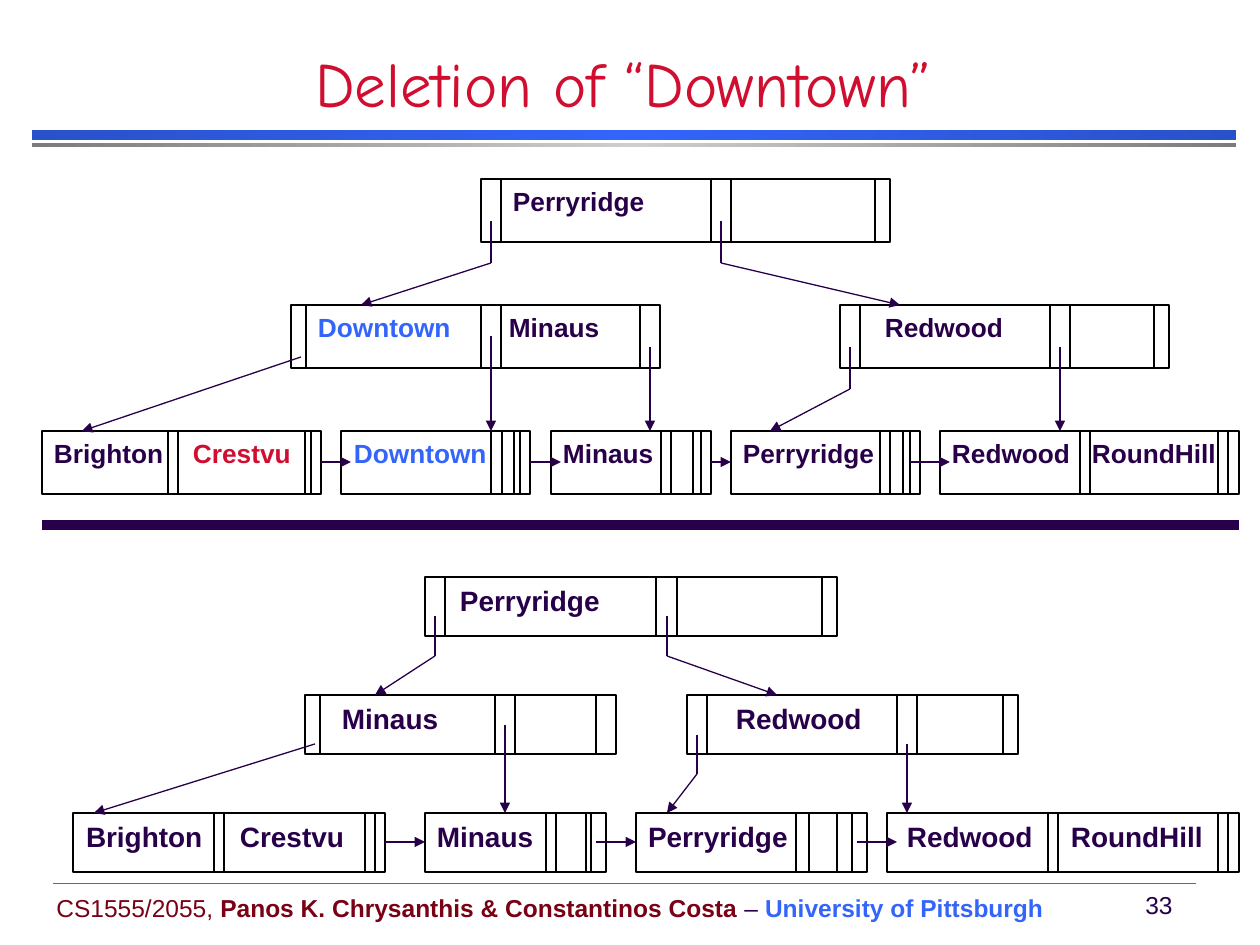
from copy import deepcopy

from lxml.etree import SubElement
from pptx import Presentation
from pptx.dml.color import RGBColor
from pptx.enum.shapes import MSO_CONNECTOR, MSO_SHAPE
from pptx.enum.text import MSO_ANCHOR, MSO_AUTO_SIZE, PP_ALIGN
from pptx.oxml.ns import qn
from pptx.util import Inches, Pt

PX = 7257  # EMU in one pixel, 126 pixels to the inch
INK, RED, BLUE, MAROON, BLACK = "280049", "CF0E30", "3365FB", "790015", "000000"
color = RGBColor.from_string

deck = Presentation()
deck.slide_width, deck.slide_height = Inches(10), Inches(7.5)
page = deck.slides.add_slide(deck.slide_layouts[5])


def draw_line(start, end, line_color, weight=0.75, arrow=False):
    ends = [value * PX for value in (*start, *end)]
    line = page.shapes.add_connector(MSO_CONNECTOR.STRAIGHT, *ends)
    line.line.color.rgb = color(line_color)
    line.line.width = Pt(weight)
    if arrow:
        SubElement(line.line._get_or_add_ln(), qn("a:tailEnd"), type="triangle")
    SubElement(line._element.spPr, qn("a:effectLst"))


def write(frame, spans, size, font="Arial", align=PP_ALIGN.LEFT, tab=None):
    """Fill a text frame with one paragraph of (text, colour, bold) spans."""
    para = frame.paragraphs[0]
    para.alignment = align
    if tab:
        stops = SubElement(para._p.get_or_add_pPr(), qn("a:tabLst"))
        SubElement(stops, qn("a:tab"), pos=str(tab * PX), algn="l")
    para.font.name, para.font.size = font, Pt(size)
    for text, span_color, bold in spans:
        span = para.add_run()
        span.text = text
        span.font.color.rgb = color(span_color)
        span.font.bold = bold


# Gradient bars under the title
for top, height, edge, middle in [(130, 10, "2951C9", BLUE), (143, 4, "7C7C7C", "CECECE")]:
    bar = page.shapes.add_shape(MSO_SHAPE.RECTANGLE, 32 * PX, top * PX, 1204 * PX, height * PX)
    bar.shadow.inherit = False
    bar.line.fill.background()
    bar.fill.gradient()
    bar.fill.gradient_angle = 0
    stop_list = bar._element.spPr.find(".//" + qn("a:gsLst"))
    stop_list.insert(1, deepcopy(stop_list[0]))
    for stop, position, shade in zip(bar.fill.gradient_stops, (0, 0.5, 1), (edge, middle, edge)):
        stop.position = position
        stop.color.rgb = color(shade)

# Footer and page number
footer = page.shapes.add_textbox(44 * PX, 872 * PX, 1071 * PX, 72 * PX).text_frame
footer.word_wrap = True
footer.vertical_anchor = MSO_ANCHOR.MIDDLE
write(footer, [("CS1555/2055, ", MAROON, False),
               ("Panos K. Chrysanthis & Constantinos Costa", MAROON, True),
               (" – ", INK, False),
               ("University of Pittsburgh", BLUE, True)], 14)
number = page.shapes.add_textbox(1128 * PX, 884 * PX, 62 * PX, 42 * PX).text_frame
number.word_wrap = False
number.vertical_anchor = MSO_ANCHOR.MIDDLE
write(number, [("33", INK, False)], 14, align=PP_ALIGN.CENTER)
draw_line((53, 883), (1196, 883), "009688", 0.25)

# Title
title = page.shapes.title
title.left, title.top, title.width, title.height = 0, 53 * PX, 1247 * PX, 73 * PX
title.text_frame.vertical_anchor = MSO_ANCHOR.BOTTOM
title.text_frame.auto_size = MSO_AUTO_SIZE.NONE
write(title.text_frame, [("Deletion of “Downtown”", RED, False)], 36, "Comic Neue", PP_ALIGN.CENTER)

# Tree nodes: left, right, top, dividers, keys as (text, x, colour)
before_nodes = [
    (481, 890, 179, (501, 711, 731, 875), [("Perryridge", 513, INK)]),
    (291, 660, 305, (306, 481, 501, 640), [("Downtown", 318, BLUE), ("Minaus", 509, INK)]),
    (840, 1169, 305, (860, 1050, 1070, 1154), [("Redwood", 885, INK)]),
    (42, 321, 431, (168, 178, 305, 311), [("Brighton", 54, INK), ("Crestvu", 193, RED)]),
    (341, 530, 431, (491, 502, 514, 520), [("Downtown", 354, BLUE)]),
    (551, 711, 431, (661, 671, 693, 701), [("Minaus", 563, INK)]),
    (731, 920, 431, (880, 890, 903, 910), [("Perryridge", 743, INK)]),
    (940, 1239, 431, (1080, 1090, 1218, 1228), [("Redwood", 952, INK), ("RoundHill", 1092, INK)]),
]
after_nodes = [
    (425, 837, 577, (445, 656, 677, 822), [("Perryridge", 460, INK)]),
    (305, 616, 695, (320, 495, 515, 596), [("Minaus", 342, INK)]),
    (687, 1018, 695, (707, 897, 917, 1003), [("Redwood", 736, INK)]),
    (73, 385, 813, (214, 224, 365, 375), [("Brighton", 86, INK), ("Crestvu", 240, INK)]),
    (425, 606, 813, (546, 556, 586, 591), [("Minaus", 437, INK)]),
    (636, 867, 813, (796, 809, 837, 852), [("Perryridge", 648, INK)]),
    (887, 1239, 813, (1048, 1058, 1218, 1228), [("Redwood", 907, INK), ("RoundHill", 1071, INK)]),
]

# Pointers: points along each path, arrowhead at the last one
before_pointers = [
    [(491, 221), (491, 263), (361, 305)],
    [(721, 221), (721, 263), (900, 305)],
    [(301, 357), (82, 431)],
    [(491, 336), (491, 431)],
    [(650, 347), (650, 431)],
    [(850, 347), (850, 389), (770, 431)],
    [(1060, 347), (1060, 431)],
    [(321, 462), (351, 462)],
    [(530, 462), (561, 462)],
    [(711, 462), (731, 462)],
    [(910, 462), (950, 462)],
]
after_pointers = [
    [(435, 616), (435, 656), (375, 695)],
    [(667, 616), (667, 656), (777, 695)],
    [(315, 744), (94, 813)],
    [(505, 725), (505, 813)],
    [(697, 735), (697, 774), (667, 813)],
    [(907, 744), (907, 813)],
    [(385, 842), (425, 842)],
    [(596, 842), (636, 842)],
    [(857, 842), (897, 842)],
]

for nodes, pointers, height, size in [(before_nodes, before_pointers, 63, 15),
                                      (after_nodes, after_pointers, 59, 16)]:
    for left, right, top, dividers, keys in nodes:
        node = page.shapes.add_shape(MSO_SHAPE.RECTANGLE, left * PX, top * PX,
                                     (right - left) * PX, height * PX)
        node.shadow.inherit = False
        node.fill.solid()
        node.fill.fore_color.rgb = color("FFFFFF")
        node.line.color.rgb = color(BLACK)
        node.line.width = Pt(0.75)
        first_x, last_x = keys[0][1], keys[-1][1]
        frame = node.text_frame
        frame.margin_left = (first_x - left) * PX
        frame.margin_right = 0
        frame.vertical_anchor = MSO_ANCHOR.TOP
        spans = [(text if x == first_x else "\t" + text, key_color, True)
                 for text, x, key_color in keys]
        write(frame, spans, size, tab=last_x - first_x)
        for x in dividers:
            draw_line((x, top), (x, top + height), BLACK)
    for points in pointers:
        for start, end in zip(points, points[1:]):
            draw_line(start, end, INK, arrow=end == points[-1])

# Rule between the two trees
draw_line((42, 525), (1239, 525), INK, 6)

deck.save("out.pptx")
